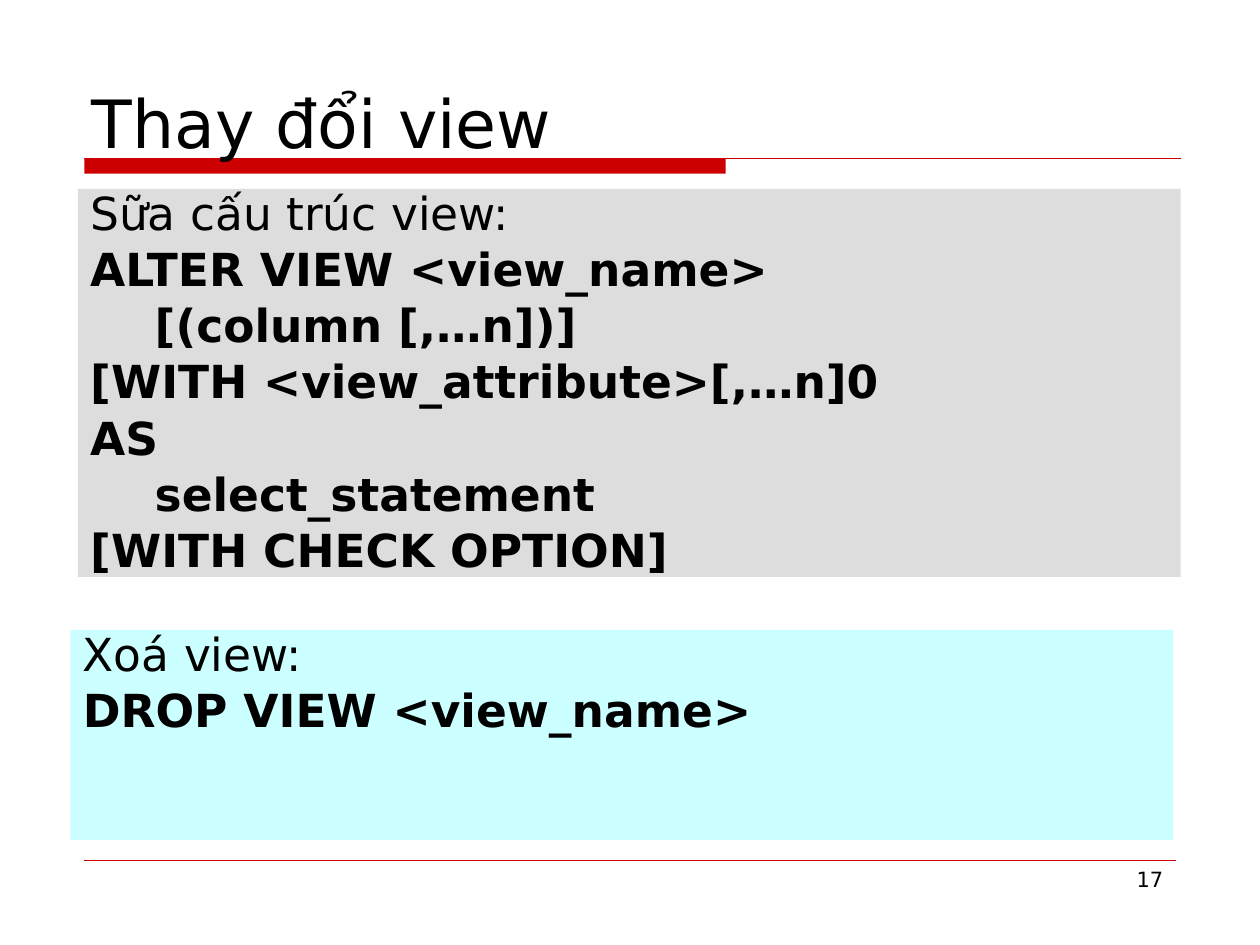
from lxml import etree
from pptx import Presentation
from pptx import util as u
from pptx.dml.color import RGBColor
from pptx.enum import shapes, text
from pptx.oxml.ns import qn

COLORS = {"red": "CC0000", "gray": "DDDDDD", "cyan": "CCFFFF", "black": "000000"}
FONT = "DejaVu Sans"
INDENT = 1.3

TITLE = "Thay đổi view"
PAGE_NUMBER = "17"
ALTER_LINES = [
    ("Sữa cấu trúc view:", False, 0),
    ("ALTER VIEW <view_name>", True, 0),
    ("[(column [,…n])]", True, 1),
    ("[WITH <view_attribute>[,…n]0", True, 0),
    ("AS", True, 0),
    ("select_statement", True, 1),
    ("[WITH CHECK OPTION]", True, 0),
]
DROP_LINES = [
    ("Xoá view:", False, 0),
    ("DROP VIEW <view_name>", True, 0),
]
PANELS = [
    ((1.57, 3.81, 22.23, 7.82), "gray", ALTER_LINES),
    ((1.42, 12.7, 22.23, 4.24), "cyan", DROP_LINES),
]
RULES = [
    (1.7, 23.8, 3.2, 0.75),
    (1.7, 23.7, 17.35, 0.25),
]
BAR = (1.7, 3.2, 12.93, 0.3)
CODE_FORMAT = {"line_spacing": 0.8, "space_before": u.Pt(7.2), "alignment": text.PP_ALIGN.LEFT}


def color(name):
    return RGBColor.from_string(COLORS[name])


def set_all(target, values):
    for name, value in values.items():
        setattr(target, name, value)


def add_rectangle(slide, box, fill):
    shape = slide.shapes.add_shape(shapes.MSO_SHAPE.RECTANGLE, *map(u.Cm, box))
    shape.shadow.inherit = False
    shape.fill.solid()
    shape.fill.fore_color.rgb = color(fill)
    shape.line.fill.background()
    return shape


def add_rule(slide, left, right, top, width):
    rule = slide.shapes.add_connector(
        shapes.MSO_CONNECTOR.STRAIGHT, u.Cm(left), u.Cm(top), u.Cm(right), u.Cm(top))
    rule.line.color.rgb = color("red")
    rule.line.width = u.Pt(width)
    etree.SubElement(rule._element.spPr, qn("a:effectLst"))


def write(shape, lines, size, anchor, paragraph_format):
    frame = shape.text_frame
    set_all(frame, {"word_wrap": True, "vertical_anchor": anchor})
    for index, (words, bold, level) in enumerate(lines):
        paragraph = frame.add_paragraph() if index else frame.paragraphs[0]
        set_all(paragraph, paragraph_format)
        if level:
            paragraph._p.get_or_add_pPr().set("marL", str(u.Cm(INDENT * level)))
        run = paragraph.add_run()
        run.text = words
        set_all(run.font, {"name": FONT, "size": u.Pt(size), "bold": bold})
        run.font.color.rgb = color("black")


def add_label(slide, box, words, size, anchor, alignment):
    label = slide.shapes.add_textbox(*map(u.Cm, box))
    write(label, [(words, False, 0)], size, anchor, {"alignment": alignment})


def main():
    presentation = Presentation()
    set_all(presentation, {"slide_width": u.Cm(25.4), "slide_height": u.Cm(19.05)})
    slide = presentation.slides.add_slide(presentation.slide_layouts[6])
    add_rectangle(slide, BAR, "red")
    for rule in RULES:
        add_rule(slide, *rule)
    add_label(slide, (18.2, 17.35, 5.5, 1.32), PAGE_NUMBER, 12,
              text.MSO_ANCHOR.TOP, text.PP_ALIGN.RIGHT)
    add_label(slide, (1.6, 0.84, 22.23, 2.54), TITLE, 38,
              text.MSO_ANCHOR.BOTTOM, text.PP_ALIGN.LEFT)
    for box, fill, lines in PANELS:
        write(add_rectangle(slide, box, fill), lines, 26, text.MSO_ANCHOR.TOP, CODE_FORMAT)
    presentation.save("out.pptx")


if __name__ == "__main__":
    main()
